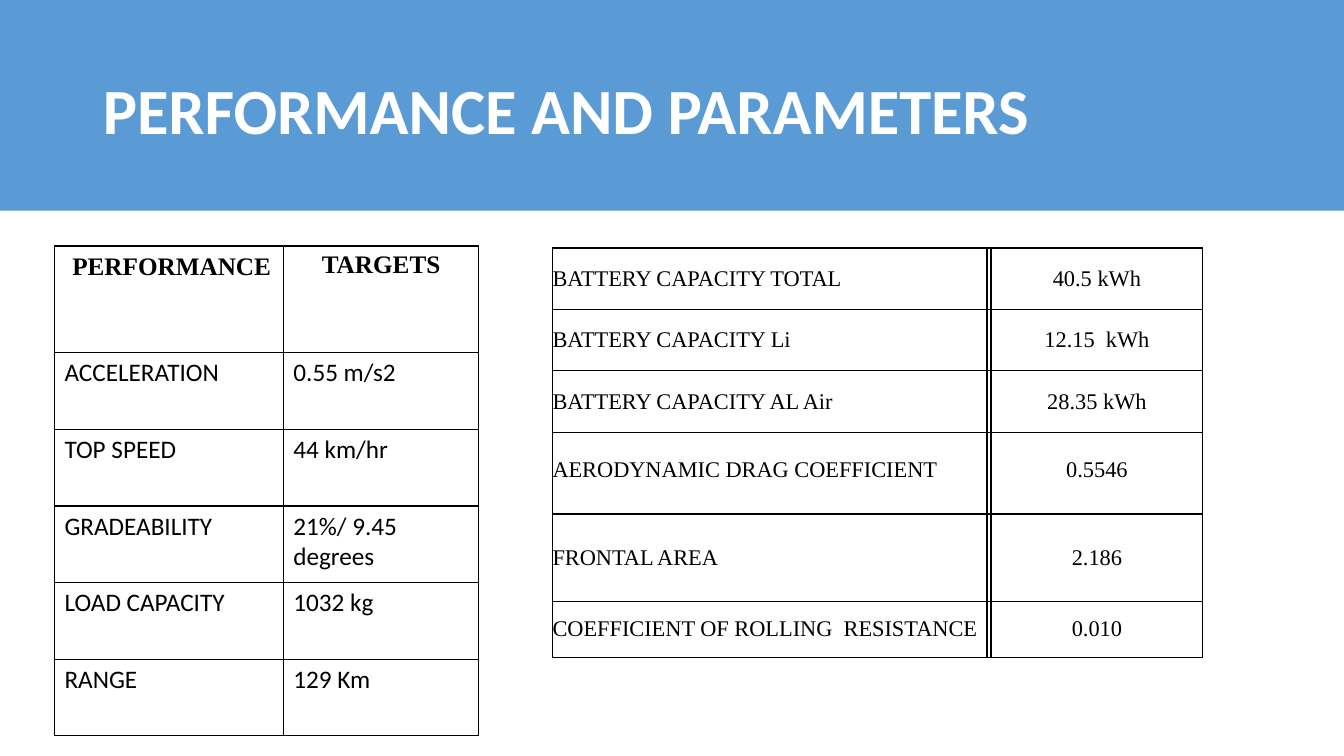
from lxml.etree import SubElement
from pptx import Presentation
from pptx.dml.color import RGBColor
from pptx.enum.shapes import MSO_SHAPE
from pptx.enum.text import MSO_ANCHOR as Anchor, PP_ALIGN as Align
from pptx.oxml.ns import qn
from pptx.util import Inches, Pt

BLUE = RGBColor(0x5B, 0x9B, 0xD5)
WHITE = RGBColor(0xFF, 0xFF, 0xFF)
BLACK = RGBColor(0x00, 0x00, 0x00)
SANS, SERIF = "Calibri", "Times New Roman"

TITLE = "PERFORMANCE AND PARAMETERS"
TARGETS = [
    (" PERFORMANCE", "TARGETS"),
    ("ACCELERATION", "0.55 m/s2"),
    ("TOP SPEED", "44 km/hr"),
    ("GRADEABILITY", "21%/ 9.45 degrees"),
    ("LOAD CAPACITY", "1032 kg"),
    ("RANGE", "129 Km"),
]
# The empty middle column draws the double rule.
VEHICLE = [
    ("AERODYNAMIC DRAG COEFFICIENT", "", "0.5546"),
    ("FRONTAL AREA", "", "2.186"),
    ("COEFFICIENT OF ROLLING  RESISTANCE", "", "0.010"),
]
BATTERY = [
    ("BATTERY CAPACITY TOTAL", "", "40.5 kWh"),
    ("BATTERY CAPACITY Li", "", "12.15  kWh"),
    ("BATTERY CAPACITY AL Air", "", "28.35 kWh"),
]
TARGET_COLUMNS = [2.27, 1.94]
PARAMETER_COLUMNS = [4.31, 0.03, 2.1]
PARAMETER_LEFT = 5.48


def add_borders(cell):
    properties = cell._tc.get_or_add_tcPr()
    for side in ("lnL", "lnR", "lnT", "lnB"):
        line = SubElement(properties, qn(f"a:{side}"), w=str(Pt(1)))
        fill = SubElement(line, qn("a:solidFill"))
        SubElement(fill, qn("a:srgbClr"), val=str(BLACK))


def add_grid(page, rows, left, top, widths, heights):
    """Add a plain black-ruled table and return it."""
    frame = page.shapes.add_table(
        len(rows), len(widths), Inches(left), Inches(top),
        Inches(sum(widths)), Inches(sum(heights)))
    table = frame.table
    table.first_row = table.horz_banding = False
    for column, width in zip(table.columns, widths):
        column.width = Inches(width)
    for row, height, texts in zip(table.rows, heights, rows):
        row.height = Inches(height)
        for cell, text in zip(row.cells, texts):
            add_borders(cell)
            cell.fill.solid()
            cell.fill.fore_color.rgb = WHITE
            cell.text = text
    return table


def set_font(para, name, size, color=BLACK, bold=False):
    font = para.font
    font.name, font.size, font.bold = name, Pt(size), bold
    font.color.rgb = color


def add_targets(page):
    heights = [1.06] + [0.76] * (len(TARGETS) - 1)
    table = add_grid(page, TARGETS, 0.54, 2.44, TARGET_COLUMNS, heights)
    for number, row in enumerate(table.rows):
        header = number == 0
        for cell in row.cells:
            para = cell.text_frame.paragraphs[0]
            set_font(para, SERIF if header else SANS, 18, bold=header)
            para.alignment = Align.CENTER if header else Align.LEFT
    # The leading space of the first header is set in the sans font.
    para = table.cell(0, 0).text_frame.paragraphs[0]
    space, word = para.runs[0], para.add_run()
    space.text, word.text = TARGETS[0][0][:1], TARGETS[0][0][1:]
    space.font.name = SANS


def add_parameters(page, rows, top, heights):
    table = add_grid(page, rows, PARAMETER_LEFT, top, PARAMETER_COLUMNS, heights)
    for row in table.rows:
        for cell, alignment in zip(row.cells, (Align.LEFT, Align.LEFT, Align.CENTER)):
            cell.margin_left = cell.margin_right = 0
            cell.margin_top = cell.margin_bottom = 0
            cell.vertical_anchor = Anchor.MIDDLE
            para = cell.text_frame.paragraphs[0]
            para.alignment = alignment
            set_font(para, SERIF, 16)


def add_title(page):
    title = page.shapes.title
    title.left, title.top = Inches(0.92), Inches(0.4)
    title.width, title.height = Inches(11.5), Inches(1.45)
    title.text_frame.text = TITLE
    title.text_frame.vertical_anchor = Anchor.MIDDLE
    para = title.text_frame.paragraphs[0]
    para.alignment = Align.LEFT
    para.line_spacing = 0.9
    set_font(para, SANS, 46, WHITE, bold=True)

    band = page.shapes.add_shape(
        MSO_SHAPE.RECTANGLE, 0, 0, Inches(13.33), Inches(2.09))
    band.shadow.inherit = False
    band.fill.solid()
    band.fill.fore_color.rgb = BLUE
    band.line.fill.background()
    title.element.addprevious(band.element)


def main():
    deck = Presentation()
    deck.slide_width, deck.slide_height = Inches(13.33), Inches(7.5)
    page = deck.slides.add_slide(deck.slide_layouts[5])
    add_title(page)
    add_targets(page)
    add_parameters(page, VEHICLE, 4.23, [0.87, 0.87, 0.55])
    add_parameters(page, BATTERY, 2.46, [0.61] * 3)
    deck.save("out.pptx")


if __name__ == "__main__":
    main()
